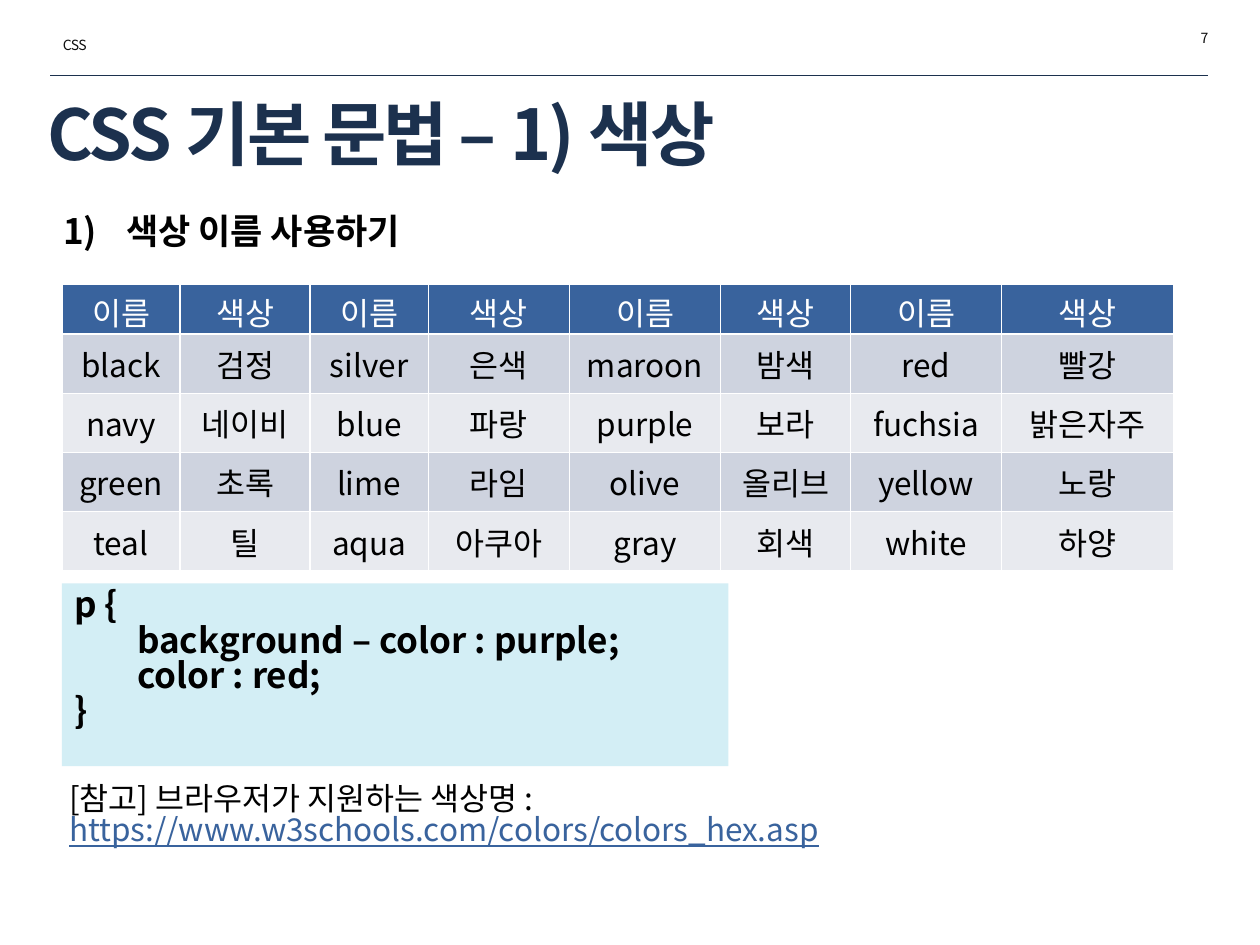
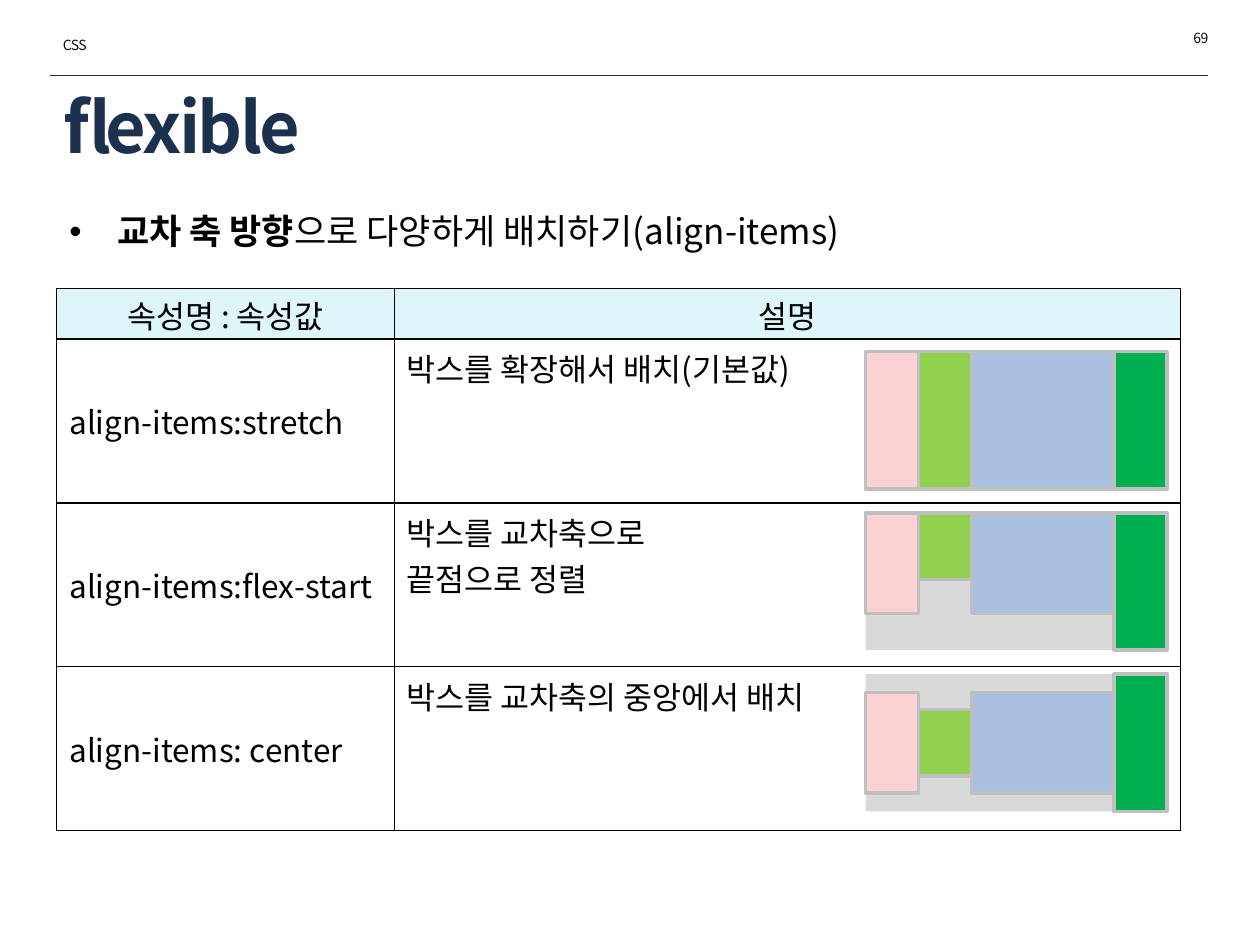
import pptx
import pptx.dml.color
import pptx.enum.shapes
import pptx.enum.text
import pptx.oxml.ns
import pptx.util
import lxml.etree
from dataclasses import dataclass


# Theme
@dataclass(frozen=True)
class Theme:
    font: str = "Noto Sans CJK KR"
    navy: str = "1C314E"
    ink: str = "000000"
    header_ink: str = "0D0D0D"
    white: str = "FFFFFF"
    blue: str = "39639D"
    bands: tuple = ("CED3DF", "E8EAEF")
    code_fill: str = "D3EEF5"
    head_fill: str = "DEF5FA"
    track: str = "D9D9D9"
    outline: str = "BFBFBF"
    title_size: int = 40
    body_size: int = 20
    table_size: int = 18
    header_size: int = 8
    title_leading: float = 0.9
    leading: float = 0.84
    note_leading: float = 0.81


THEME = Theme()
LEFT = pptx.enum.text.PP_ALIGN.LEFT
CENTER = pptx.enum.text.PP_ALIGN.CENTER
RIGHT = pptx.enum.text.PP_ALIGN.RIGHT
TOP = pptx.enum.text.MSO_ANCHOR.TOP
MIDDLE = pptx.enum.text.MSO_ANCHOR.MIDDLE
RECTANGLE = pptx.enum.shapes.MSO_SHAPE.RECTANGLE

# The slide is a grid of 100 columns by 75 rows; boxes are left, top, width, height
COLUMNS, ROWS = 100, 75
CELL = pptx.util.Inches(0.1)

# Content: colour names
COLOR_PAGE = {
    "number": "7",
    "title": "CSS 기본 문법 – 1) 색상",
    "title_box": (2.8, 7.7, 92.6, 6.4),
    "body": [("색상 이름 사용하기", {"bold": True})],
    "body_box": (4, 16.7, 91.5, 14.5),
    "bullet": ("buAutoNum", {"type": "arabicParenR"}, 5),
}
COLOR_TABLE = [
    ["이름", "색상"] * 4,
    ["black", "검정", "silver", "은색", "maroon", "밤색", "red", "빨강"],
    ["navy", "네이비", "blue", "파랑", "purple", "보라", "fuchsia", "밝은자주"],
    ["green", "초록", "lime", "라임", "olive", "올리브", "yellow", "노랑"],
    ["teal", "틸", "aqua", "아쿠아", "gray", "회색", "white", "하양"],
]
COLOR_COLUMNS = [9.4, 10.3, 9.4, 11.2, 12, 10.3, 12, 13.7]
CODE = ["p {", "\tbackground – color : purple;", "\tcolor : red;", "}"]
NOTE = [
    ("[참고] 브라우저가 지원하는 색상명 : ", {}),
    ("https://www.w3schools.com/colors/colors_hex.asp",
     {"color": THEME.blue, "underline": True}),
]

# Content: cross-axis alignment
FLEX_PAGE = {
    "number": "69",
    "title": "flexible",
    "title_box": (4, 7.2, 91.5, 6.4),
    "body": [("교차 축 방향", {"bold": True}),
             ("으로 다양하게 배치하기(align-items)", {})],
    "body_box": (4.5, 16.7, 90.9, 4.4),
    "bullet": ("buChar", {"char": "•"}, 3.8),
}
FLEX_TABLE = [
    ["속성명 : 속성값", "설명"],
    ["align-items:stretch", "박스를 확장해서 배치(기본값)"],
    ["align-items:flex-start", "박스를 교차축으로 \v끝점으로 정렬"],
    ["align-items: center", "박스를 교차축의 중앙에서 배치"],
]
FLEX_COLUMNS = [26.8, 62.4]
FLEX_MODES = ["stretch", "start", "center"]
# Each item: left offset, width, own height, fill
FLEX_ITEMS = [
    (0, 4.2, 8, "F9D1D3"),
    (4.2, 4.2, 5.3, "92D050"),
    (8.4, 11.5, 8, "A8BFDF"),
    (19.7, 4.2, 10.9, "00B050"),
]
TRACK_BOX = (68.7, 27.9, 23.9, 10.9)
TRACK_STEP = 12.8


# Helpers
def grid(*lengths):
    return [round(length * CELL) for length in lengths]


def rgb(color):
    return pptx.dml.color.RGBColor.from_string(color)


def add_xml(parent, tag, **attributes):
    return lxml.etree.SubElement(parent, pptx.oxml.ns.qn(f"a:{tag}"), attributes)


def style_span(span, size, color=THEME.ink, bold=False, underline=False, spacing=0):
    font = span.font
    font.name, font.size = THEME.font, pptx.util.Pt(size)
    font.bold, font.underline = bold, underline
    font.color.rgb = rgb(color)
    properties = span._r.get_or_add_rPr()
    add_xml(properties, "ea", typeface=THEME.font)
    if spacing:
        properties.set("spc", str(round(spacing * 100)))


def style_para(para, size, align=LEFT, leading=1.0, **style):
    para.alignment = align
    para.line_spacing = leading
    para.space_before = pptx.util.Pt(0)
    for span in para.runs:
        style_span(span, size, **style)


def fill_spans(para, spans, size, leading):
    for text, style in spans:
        span = para.add_run()
        span.text = text
        style_span(span, size, **style)
    style_para_spacing = (para, leading)
    para.line_spacing = style_para_spacing[1]
    para.space_before = pptx.util.Pt(0)


def prepare_frame(frame, anchor=TOP):
    frame.word_wrap = True
    frame.auto_size = pptx.enum.text.MSO_AUTO_SIZE.NONE
    frame.vertical_anchor = anchor
    return frame


def move(shape, box):
    shape.left, shape.top, shape.width, shape.height = grid(*box)


def add_text_box(page, box):
    return prepare_frame(page.shapes.add_textbox(*grid(*box)).text_frame)


def add_block(shapes, box, fill, outline=None):
    block = shapes.add_shape(RECTANGLE, *grid(*box))
    block.shadow.inherit = False
    block.fill.solid()
    block.fill.fore_color.rgb = rgb(fill)
    if outline:
        block.line.color.rgb = rgb(outline)
        block.line.width = pptx.util.Pt(2)
    else:
        block.line.fill.background()
    return block


# Shared page: rule, header, title, lead line
def add_page(deck, content):
    page = deck.slides.add_slide(deck.slide_layouts[1])
    rule = page.shapes.add_connector(
        pptx.enum.shapes.MSO_CONNECTOR.STRAIGHT, *grid(4, 6, 95.9, 6))
    rule.line.color.rgb = rgb(THEME.navy)
    rule.line.width = pptx.util.Pt(0.25)
    add_xml(rule._element.spPr, "effectLst")

    headers = [("CSS", 4, 2.6, LEFT), (content["number"], 79.6, 2.1, RIGHT)]
    for text, left, top, align in headers:
        frame = add_text_box(page, (left, top, 17.3, 2.4))
        frame.text = text
        style_para(frame.paragraphs[0], THEME.header_size, align, THEME.leading,
                   color=THEME.header_ink, spacing=-0.3)

    title = page.shapes.title
    move(title, content["title_box"])
    frame = prepare_frame(title.text_frame, MIDDLE)
    frame.text = content["title"]
    style_para(frame.paragraphs[0], THEME.title_size, LEFT, THEME.title_leading,
               color=THEME.navy, bold=True, spacing=-1.5)

    body = page.placeholders[1]
    move(body, content["body_box"])
    para = prepare_frame(body.text_frame).paragraphs[0]
    bullet, attributes, indent = content["bullet"]
    properties = para._p.get_or_add_pPr()
    hang = grid(indent)[0]
    properties.set("marL", str(hang))
    properties.set("indent", str(-hang))
    add_xml(properties, bullet, **attributes)
    fill_spans(para, content["body"], THEME.body_size, THEME.leading)
    return page


def set_borders(cell, color):
    properties = cell._tc.get_or_add_tcPr()
    for side in ("lnL", "lnR", "lnT", "lnB"):
        line = add_xml(properties, side, w=str(pptx.util.Pt(1)))
        add_xml(add_xml(line, "solidFill"), "srgbClr", val=color)


def add_table(page, rows, left, top, columns, heights, border, cell_look):
    box = grid(left, top, sum(columns), sum(heights))
    table = page.shapes.add_table(len(rows), len(columns), *box).table
    table.first_row = table.horz_banding = False
    for column, width in zip(table.columns, grid(*columns)):
        column.width = width
    for row, height in zip(table.rows, grid(*heights)):
        row.height = height
    for row_index, row in enumerate(rows):
        for column_index, text in enumerate(row):
            cell = table.cell(row_index, column_index)
            fill, color, align, anchor = cell_look(row_index, column_index)
            cell.text_frame.text = ""
            cell.text_frame.paragraphs[0].text = text
            style_para(cell.text_frame.paragraphs[0], THEME.table_size, align,
                       color=color)
            cell.vertical_anchor = anchor
            if row_index == 0:
                cell.margin_top, cell.margin_bottom = grid(0.3, 0)
            set_borders(cell, border)
            if fill:
                cell.fill.solid()
                cell.fill.fore_color.rgb = rgb(fill)
            else:
                cell.fill.background()


def color_look(row, column):
    if row == 0:
        return THEME.blue, THEME.white, CENTER, MIDDLE
    return THEME.bands[(row - 1) % 2], THEME.ink, CENTER, MIDDLE


def flex_look(row, column):
    if row == 0:
        return THEME.head_fill, THEME.ink, CENTER, TOP
    return None, THEME.ink, LEFT, MIDDLE if column == 0 else TOP


# Slide: colour names
def build_color_page(deck):
    page = add_page(deck, COLOR_PAGE)
    add_table(page, COLOR_TABLE, 4.9, 22.6, COLOR_COLUMNS, [3.9] + [4.7] * 4,
              THEME.white, color_look)
    note = add_text_box(page, (4.5, 61.9, 89.3, 7.1))
    fill_spans(note.paragraphs[0], NOTE, THEME.table_size, THEME.note_leading)
    block = add_block(page.shapes, (4.9, 46.3, 52.9, 14.5), THEME.code_fill)
    frame = prepare_frame(block.text_frame)
    frame.text = "\n".join(CODE)
    for para in frame.paragraphs:
        style_para(para, THEME.body_size, LEFT, THEME.leading, bold=True)


# Slide: cross-axis alignment
def add_flex_diagram(page, mode, box):
    left, top, width, height = box
    group = page.shapes.add_group_shape()
    add_block(group.shapes, box, THEME.track)
    for offset, item_width, own_height, fill in FLEX_ITEMS:
        item_height = height if mode == "stretch" else own_height
        drop = (height - item_height) / 2 if mode == "center" else 0
        add_block(group.shapes, (left + offset, top + drop, item_width, item_height),
                  fill, THEME.outline)


def build_flex_page(deck):
    page = add_page(deck, FLEX_PAGE)
    add_table(page, FLEX_TABLE, 4.5, 22.9, FLEX_COLUMNS, [4] + [13] * 3,
              THEME.ink, flex_look)
    left, top, width, height = TRACK_BOX
    for index, mode in enumerate(FLEX_MODES):
        add_flex_diagram(page, mode, (left, top + index * TRACK_STEP, width, height))


def main():
    deck = pptx.Presentation()
    deck.slide_width, deck.slide_height = grid(COLUMNS, ROWS)
    build_color_page(deck)
    build_flex_page(deck)
    deck.save("out.pptx")


if __name__ == "__main__":
    main()
